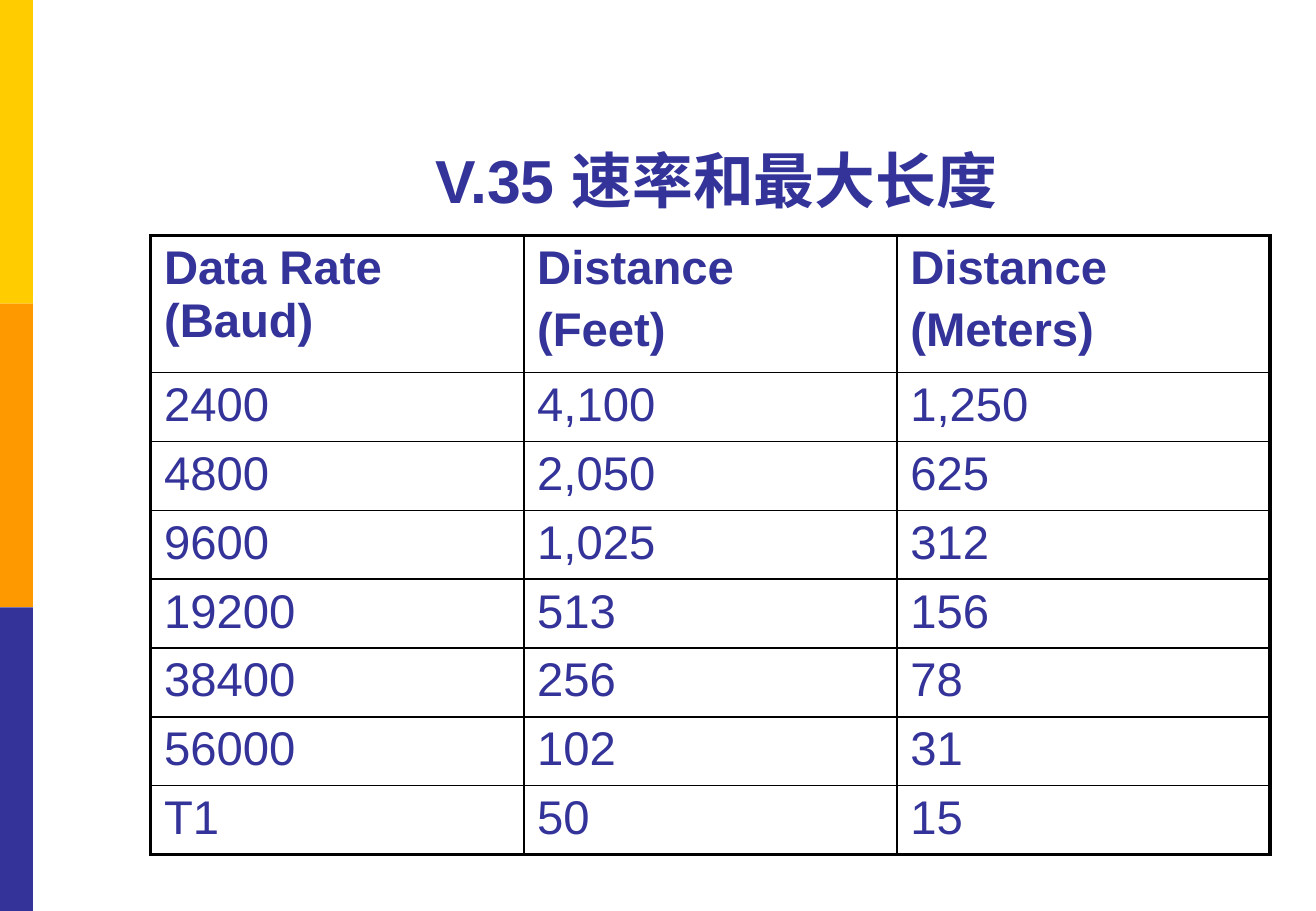
from dataclasses import dataclass

from lxml import etree
from pptx import Presentation
from pptx.dml.color import RGBColor
from pptx.enum import shapes, text
from pptx.oxml.ns import qn
from pptx.util import Cm, Pt


@dataclass(frozen=True)
class Theme:
    font: str = "Arial"
    yellow: str = "FFCC00"
    orange: str = "FF9900"
    indigo: str = "333399"
    border: str = "000000"
    title_size: float = 36
    cell_size: float = 28
    outer_line: float = 2.25
    inner_line: float = 1


THEME = Theme()
SLIDE_WIDTH, SLIDE_HEIGHT = Cm(27.51), Cm(19.05)
HEADINGS = ["Data Rate (Baud)", "Distance\n(Feet)", "Distance\n(Meters)"]
RATES = [
    ["2400", "4,100", "1,250"],
    ["4800", "2,050", "625"],
    ["9600", "1,025", "312"],
    ["19200", "513", "156"],
    ["38400", "256", "78"],
    ["56000", "102", "31"],
    ["T1", "50", "15"],
]


def style_font(paragraph, size, bold):
    font = paragraph.font
    font.name = THEME.font
    font.size = Pt(size)
    font.bold = bold
    font.color.rgb = RGBColor.from_string(THEME.indigo)


def add_side_band(slide, left, top, width, height):
    colors = [THEME.yellow, THEME.orange, THEME.indigo]
    block_height = height // len(colors)
    for i, color in enumerate(colors):
        block = slide.shapes.add_shape(
            shapes.MSO_SHAPE.RECTANGLE, left, top + i * block_height, width, block_height)
        block.shadow.inherit = False
        block.fill.solid()
        block.fill.fore_color.rgb = RGBColor.from_string(color)
        block.line.fill.background()


def set_title(slide, left, top, width, height):
    title = slide.shapes.title
    title.left, title.top, title.width, title.height = left, top, width, height
    frame = title.text_frame
    frame.text = "V.35 速率和最大长度"
    frame.vertical_anchor = text.MSO_ANCHOR.BOTTOM
    heading = frame.paragraphs[0]
    heading.alignment = text.PP_ALIGN.CENTER
    style_font(heading, THEME.title_size, True)


def set_borders(cell, outer_sides):
    """Draw all four borders, thicker on the sides at the table's edge."""
    properties = cell._tc.get_or_add_tcPr()
    for position, side in enumerate("LRTB"):
        weight = THEME.outer_line if side in outer_sides else THEME.inner_line
        line = etree.Element(qn(f"a:ln{side}"), w=str(Pt(weight)))
        fill = etree.SubElement(line, qn("a:solidFill"))
        etree.SubElement(fill, qn("a:srgbClr"), val=THEME.border)
        properties.insert(position, line)


def fill_cell(cell, words, bold):
    cell.fill.background()
    cell.margin_left = cell.margin_right = Cm(0.28)
    cell.margin_top = cell.margin_bottom = Cm(0.13)
    cell.text = words
    for i, paragraph in enumerate(cell.text_frame.paragraphs):
        if i:
            paragraph.space_before = Pt(0.2 * THEME.cell_size)
        style_font(paragraph, THEME.cell_size, bold)


def add_rate_table(slide, left, top, width, height):
    rows = [HEADINGS] + RATES
    last_row, last_column = len(rows) - 1, len(HEADINGS) - 1
    table = slide.shapes.add_table(
        len(rows), len(HEADINGS), left, top, width, height).table
    table.horz_banding = False
    table.first_row = False
    rate_height = Cm(1.44)
    for row in table.rows:
        row.height = rate_height
    table.rows[0].height = height - rate_height * len(RATES)
    for r, values in enumerate(rows):
        for c, words in enumerate(values):
            cell = table.cell(r, c)
            fill_cell(cell, words, bold=r == 0)
            at_edge = {"L": c == 0, "R": c == last_column,
                       "T": r == 0, "B": r == last_row}
            set_borders(cell, [side for side, outer in at_edge.items() if outer])


def main():
    deck = Presentation()
    deck.slide_width, deck.slide_height = SLIDE_WIDTH, SLIDE_HEIGHT
    slide = deck.slides.add_slide(deck.slide_layouts[5])
    add_side_band(slide, 0, 0, Cm(0.69), SLIDE_HEIGHT)
    set_title(slide, Cm(3.25), Cm(0.58), Cm(23.44), Cm(4.06))
    add_rate_table(slide, Cm(3.15), Cm(4.93), Cm(23.4), Cm(12.94))
    deck.save("out.pptx")


if __name__ == "__main__":
    main()
